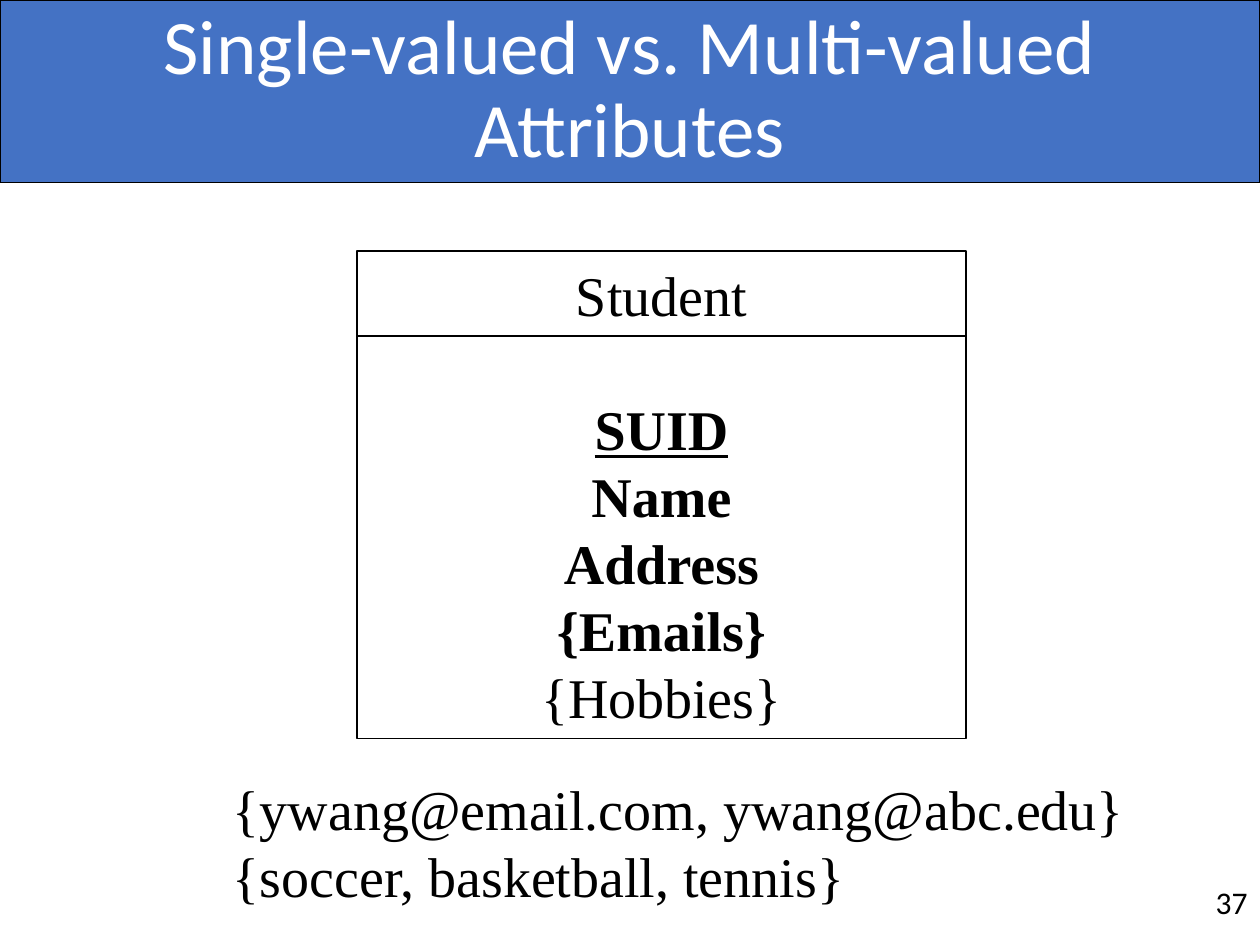
from lxml.etree import SubElement
from pptx import Presentation
from pptx.dml.color import RGBColor
from pptx.enum.shapes import MSO_CONNECTOR as Connector, MSO_SHAPE as Shape
from pptx.enum.text import MSO_ANCHOR as Anchor, PP_ALIGN as Align
from pptx.oxml.ns import qn
from pptx.util import Pt

COLOURS = {"banner": "4472C4", "ink": "000000", "light": "FFFFFF"}
SERIF = {"name": "Times New Roman", "size": Pt(32)}
LINE_PITCH = Pt(38.3)
ENTITY_LEFT, ENTITY_WIDTH = 204, 348


def colour(key):
    return RGBColor.from_string(COLOURS[key])


def set_values(target, values):
    for name, value in values.items():
        setattr(target, name, value)


def add_paragraphs(box, lines, font, ink="ink", frame_format=None, **para_format):
    """Fill a box with (text, font changes, paragraph changes) lines."""
    frame = box.text_frame
    set_values(frame, {"word_wrap": True, **(frame_format or {})})
    for index, (text, font_changes, para_changes) in enumerate(lines):
        para = frame.add_paragraph() if index else frame.paragraphs[0]
        set_values(para, {**para_format, **para_changes})
        span = para.add_run()
        span.text = text
        set_values(span.font, {**font, **font_changes})
        span.font.color.rgb = colour(ink)


def add_rectangle(page, left, top, width, height, fill=None):
    box = page.shapes.add_shape(
        Shape.RECTANGLE, Pt(left), Pt(top), Pt(width), Pt(height))
    box.shadow.inherit = False
    if fill:
        box.fill.solid()
        box.fill.fore_color.rgb = colour(fill)
    else:
        box.fill.background()
    box.line.color.rgb = colour("ink")
    box.line.width = Pt(0.75)
    return box


def add_text_box(page, left, top, width, height):
    return page.shapes.add_textbox(Pt(left), Pt(top), Pt(width), Pt(height))


def add_divider(page, left, top, width):
    line = page.shapes.add_connector(
        Connector.STRAIGHT, Pt(left), Pt(top), Pt(left + width), Pt(top))
    line.line.color.rgb = colour("ink")
    line.line.width = Pt(1)
    SubElement(line._element.spPr, qn("a:effectLst"))


def main():
    deck = Presentation()
    set_values(deck, {"slide_width": Pt(720), "slide_height": Pt(540)})
    page = deck.slides.add_slide(deck.slide_layouts[6])

    banner = add_rectangle(page, 0, 0, 720, 104.4, "banner")
    add_paragraphs(
        banner, [("Single-valued vs. Multi-valued Attributes", {}, {})],
        {"name": "Calibri", "size": Pt(44)}, "light",
        {"vertical_anchor": Anchor.MIDDLE},
        alignment=Align.CENTER, line_spacing=0.9)

    number = add_text_box(page, 684, 496.8, 36, 37.4)
    add_paragraphs(
        number, [("37", {}, {})], {"name": "Calibri", "size": Pt(18)},
        frame_format={"vertical_anchor": Anchor.MIDDLE}, alignment=Align.RIGHT)

    serif_frame = {"vertical_anchor": Anchor.TOP, "margin_top": Pt(5.6)}
    bold = {"bold": True}
    entity = add_rectangle(page, ENTITY_LEFT, 143.4, ENTITY_WIDTH, 278.6)
    attributes = [
        ("Student", {}, {}),
        ("SUID", {**bold, "underline": True}, {"space_before": LINE_PITCH}),
        ("Name", bold, {}),
        ("Address", bold, {}),
        ("{Emails}", bold, {}),
        ("{Hobbies}", {}, {}),
    ]
    add_paragraphs(entity, attributes, SERIF, frame_format=serif_frame,
                   alignment=Align.CENTER, line_spacing=LINE_PITCH)

    examples = add_text_box(page, 126, 437, 528, 85)
    values = ["{ywang@email.com, ywang@abc.edu}", "{soccer, basketball, tennis}"]
    add_paragraphs(examples, [(value, {}, {}) for value in values], SERIF,
                   frame_format=serif_frame, line_spacing=LINE_PITCH)

    add_divider(page, ENTITY_LEFT, 192, ENTITY_WIDTH)
    deck.save("out.pptx")


if __name__ == "__main__":
    main()
